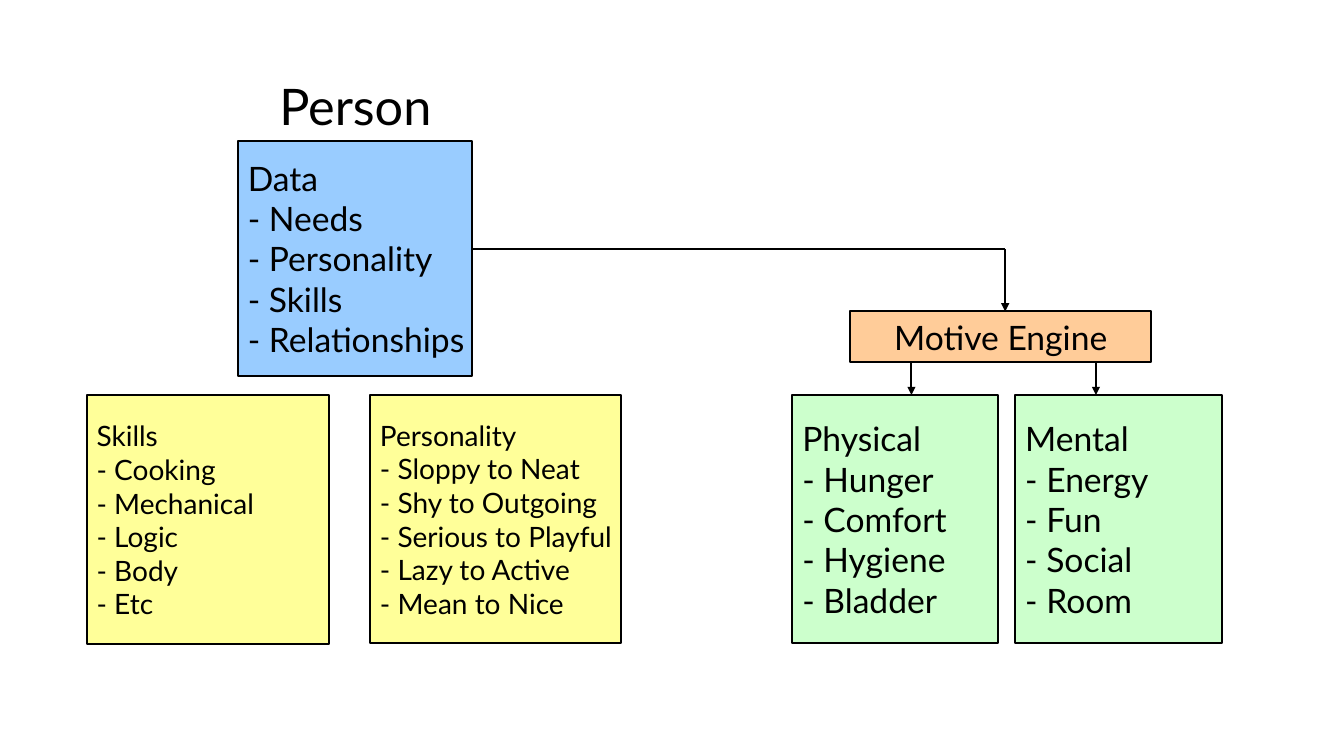
import pptx
import pptx.dml.color
import pptx.enum.shapes
import pptx.enum.text
import pptx.oxml.ns
import pptx.oxml.xmlchemy
import pptx.util

Inches = pptx.util.Inches
Pt = pptx.util.Pt
ALIGN = pptx.enum.text.PP_ALIGN
ANCHOR = pptx.enum.text.MSO_ANCHOR

# Content: heading, items, text size, fill, left, top, width, height
BOXES = [
    ("Data", ["Needs", "Personality", "Skills", "Relationships"],
     24, "99CCFF", 2.36, 1.4, 2.32, 2.33),
    ("Physical", ["Hunger", "Comfort", "Hygiene", "Bladder"],
     24, "CCFFCC", 7.86, 3.92, 2.04, 2.46),
    ("Mental", ["Energy", "Fun", "Social", "Room"],
     24, "CCFFCC", 10.07, 3.92, 2.05, 2.46),
    ("Motive Engine", [], 24, "FFCC99", 8.43, 3.09, 2.99, 0.5),
    ("Personality", ["Sloppy to Neat", "Shy to Outgoing", "Serious to Playful",
                     "Lazy to Active", "Mean to Nice"],
     20, "FFFF99", 3.67, 3.92, 2.49, 2.46),
    ("Skills", ["Cooking", "Mechanical", "Logic", "Body", "Etc"],
     20, "FFFF99", 0.86, 3.92, 2.4, 2.47),
]

# Start x, start y, end x, end y, arrowhead at the end
LINES = [
    (9.04, 3.59, 9.04, 3.92, True),
    (10.87, 3.59, 10.87, 3.92, True),
    (9.97, 2.47, 9.97, 3.09, True),
    (4.68, 2.47, 9.97, 2.47, False),
]


def color(value):
    return pptx.dml.color.RGBColor.from_string(value)


def write(shape, lines, size=24, align=ALIGN.LEFT, anchor=ANCHOR.MIDDLE, wrap=False):
    frame = shape.text_frame
    frame.word_wrap = wrap
    frame.auto_size = pptx.enum.text.MSO_AUTO_SIZE.NONE
    frame.vertical_anchor = anchor
    frame.text = "\n".join(lines)
    for para in frame.paragraphs:
        para.alignment = align
        para.font.name = "Lato"
        para.font.size = Pt(size)
        para.font.color.rgb = color("000000")


def outline(shape):
    shape.line.color.rgb = color("000000")
    shape.line.width = Pt(1.5)


def add_box(page, heading, items, size, fill, *place):
    box = page.shapes.add_shape(pptx.enum.shapes.MSO_SHAPE.RECTANGLE,
                                *map(Inches, place))
    box.shadow.inherit = False
    box.fill.solid()
    box.fill.fore_color.rgb = color(fill)
    outline(box)
    write(box, [heading] + ["- " + item for item in items], size=size,
          align=ALIGN.LEFT if items else ALIGN.CENTER)


def add_line(page, *ends, arrow):
    line = page.shapes.add_connector(pptx.enum.shapes.MSO_CONNECTOR.STRAIGHT,
                                     *map(Inches, ends))
    outline(line)
    properties = line._element.find(pptx.oxml.ns.qn("p:spPr"))
    if arrow:
        head = pptx.oxml.xmlchemy.OxmlElement("a:tailEnd")
        head.set("type", "triangle")
        properties.find(pptx.oxml.ns.qn("a:ln")).append(head)
    properties.append(pptx.oxml.xmlchemy.OxmlElement("a:effectLst"))


def main():
    deck = pptx.Presentation()
    deck.slide_width, deck.slide_height = Inches(13.33), Inches(7.5)
    page = deck.slides.add_slide(deck.slide_layouts[5])

    # Title above the data box
    title = page.shapes.title
    title.left, title.top = Inches(2.54), Inches(0.69)
    title.width, title.height = Inches(1.97), Inches(0.71)
    write(title, ["Person"], size=36, align=ALIGN.CENTER, anchor=ANCHOR.TOP, wrap=True)

    # Boxes and the lines between them
    for box in BOXES:
        add_box(page, *box)
    for *ends, arrow in LINES:
        add_line(page, *ends, arrow=arrow)

    deck.save("out.pptx")


if __name__ == "__main__":
    main()
